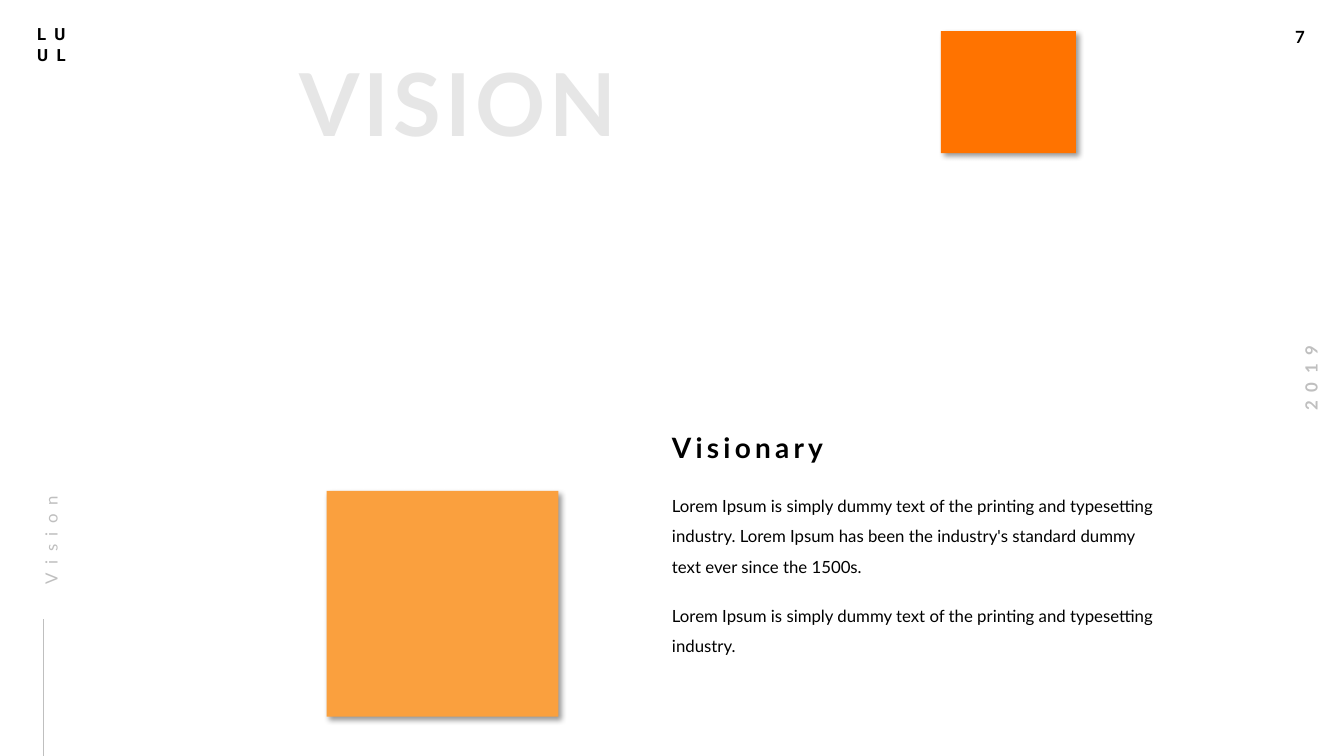
from dataclasses import dataclass

from lxml.etree import SubElement
from pptx import Presentation
from pptx.dml.color import RGBColor
from pptx.enum.shapes import MSO_CONNECTOR, MSO_SHAPE
from pptx.enum.text import MSO_AUTO_SIZE, PP_ALIGN
from pptx.oxml.ns import qn
from pptx.util import Inches, Pt

WIDTH, HEIGHT = Inches(13.33), Inches(7.5)


@dataclass(frozen=True)
class Theme:
    black: str = "000000"
    grey: str = "BFBFBF"
    pale: str = "E6E6E6"
    orange: str = "FF7300"
    amber: str = "FAA03E"
    small: int = 12
    heading: int = 20
    display: int = 62
    font: str = "Lato"
    mark_font: str = "Roboto"


THEME = Theme()
COPY_COLUMN = 50
COPY_WIDTH = 36.68
FLUSH = dict(margin_left=0, margin_top=0, margin_right=Inches(0.1), margin_bottom=0)
BODY = dict(line_spacing=1.5)


def grid(column, row, columns, rows):
    """Turn cells of a 100 by 100 grid over the slide into lengths."""
    return [round(cells * side / 100) for cells, side in
            ((column, WIDTH), (row, HEIGHT), (columns, WIDTH), (rows, HEIGHT))]


def apply(target, formats):
    for name, value in formats.items():
        setattr(target, name, value)


def add_text(slide, cells, lines, color=THEME.black, size=THEME.small, bold=False,
             font=THEME.font, tracking=0, rotation=0, frame=None, paragraph=None):
    """Add one paragraph per line; tracking is letter spacing in points."""
    box = slide.shapes.add_textbox(*grid(*cells))
    box.rotation = rotation
    text = box.text_frame
    apply(text, dict(word_wrap=True, auto_size=MSO_AUTO_SIZE.SHAPE_TO_FIT_TEXT) | (frame or {}))
    for index, line in enumerate(lines):
        part = text.add_paragraph() if index else text.paragraphs[0]
        apply(part, paragraph or {})
        run = part.add_run()
        run.text = line
        apply(run.font, dict(name=font, size=Pt(size), bold=bold))
        run.font.color.rgb = RGBColor.from_string(color)
        if tracking:
            run.font._element.set("spc", str(tracking * 100))


def add_square(slide, cells, color):
    square = slide.shapes.add_shape(MSO_SHAPE.RECTANGLE, *grid(*cells))
    square.shadow.inherit = False
    square.fill.solid()
    square.fill.fore_color.rgb = RGBColor.from_string(color)
    square.line.fill.background()
    effects = square._element.spPr.find(qn("a:effectLst"))
    shadow = SubElement(effects, qn("a:outerShdw"), blurRad=str(Pt(4)), dist=str(Pt(3)),
                        dir=str(45 * 60000), algn="tl", rotWithShape="0")
    shade = SubElement(shadow, qn("a:srgbClr"), val=THEME.black)
    SubElement(shade, qn("a:alpha"), val="40000")


def add_rule(slide, column, top, bottom):
    x, y, _, length = grid(column, top, 0, bottom - top)
    rule = slide.shapes.add_connector(MSO_CONNECTOR.STRAIGHT, x, y + length, x, y)
    rule.line.color.rgb = RGBColor.from_string(THEME.grey)
    rule.line.width = Pt(0.5)
    SubElement(rule._element.spPr, qn("a:effectLst"))


def add_margins(slide):
    """Add the page number, year, monogram and section label at the edges."""
    add_text(slide, (95.63, 2.93, 3.08, 4), ["7"], bold=True, frame=dict(word_wrap=False))
    add_text(slide, (94.05, 48, 6.98, 4), ["2019"], THEME.grey, bold=True, tracking=6,
             rotation=270, frame=dict(word_wrap=False), paragraph=dict(alignment=PP_ALIGN.CENTER))
    add_text(slide, (2.03, 2.53, 4.43, 6.67), ["LU", "UL"], bold=True,
             font=THEME.mark_font, tracking=6)
    add_rule(slide, 3.23, 81.87, 100)
    add_text(slide, (-3.68, 63.2, 13.88, 3.47), ["Vision"], THEME.grey, tracking=6,
             rotation=270, frame=FLUSH, paragraph=BODY)


def add_copy(slide):
    add_text(slide, (COPY_COLUMN, 56.93, 26.25, 4.53), ["Visionary"], size=THEME.heading,
             bold=True, tracking=3, frame=FLUSH)
    opening = "Lorem Ipsum is simply dummy text of the printing and typesetting industry."
    history = "Lorem Ipsum has been the industry's standard dummy text ever since the 1500s."
    for row, rows, passage in ((64.27, 11.6, f"{opening} {history}"), (78.8, 7.6, opening)):
        add_text(slide, (COPY_COLUMN, row, COPY_WIDTH, rows), [passage],
                 frame=FLUSH, paragraph=BODY)


def main():
    deck = Presentation()
    apply(deck, dict(slide_width=WIDTH, slide_height=HEIGHT))
    slide = deck.slides.add_slide(deck.slide_layouts[6])
    add_text(slide, (22.28, 6.53, 27, 13.8), ["VISION"], THEME.pale, THEME.display,
             bold=True, tracking=3, frame=FLUSH | dict(word_wrap=False))
    add_margins(slide)
    add_square(slide, (24.3, 64.93, 17.25, 29.87), THEME.amber)
    add_square(slide, (70, 4.13, 10.05, 16.13), THEME.orange)
    add_copy(slide)
    deck.save("out.pptx")


if __name__ == "__main__":
    main()
